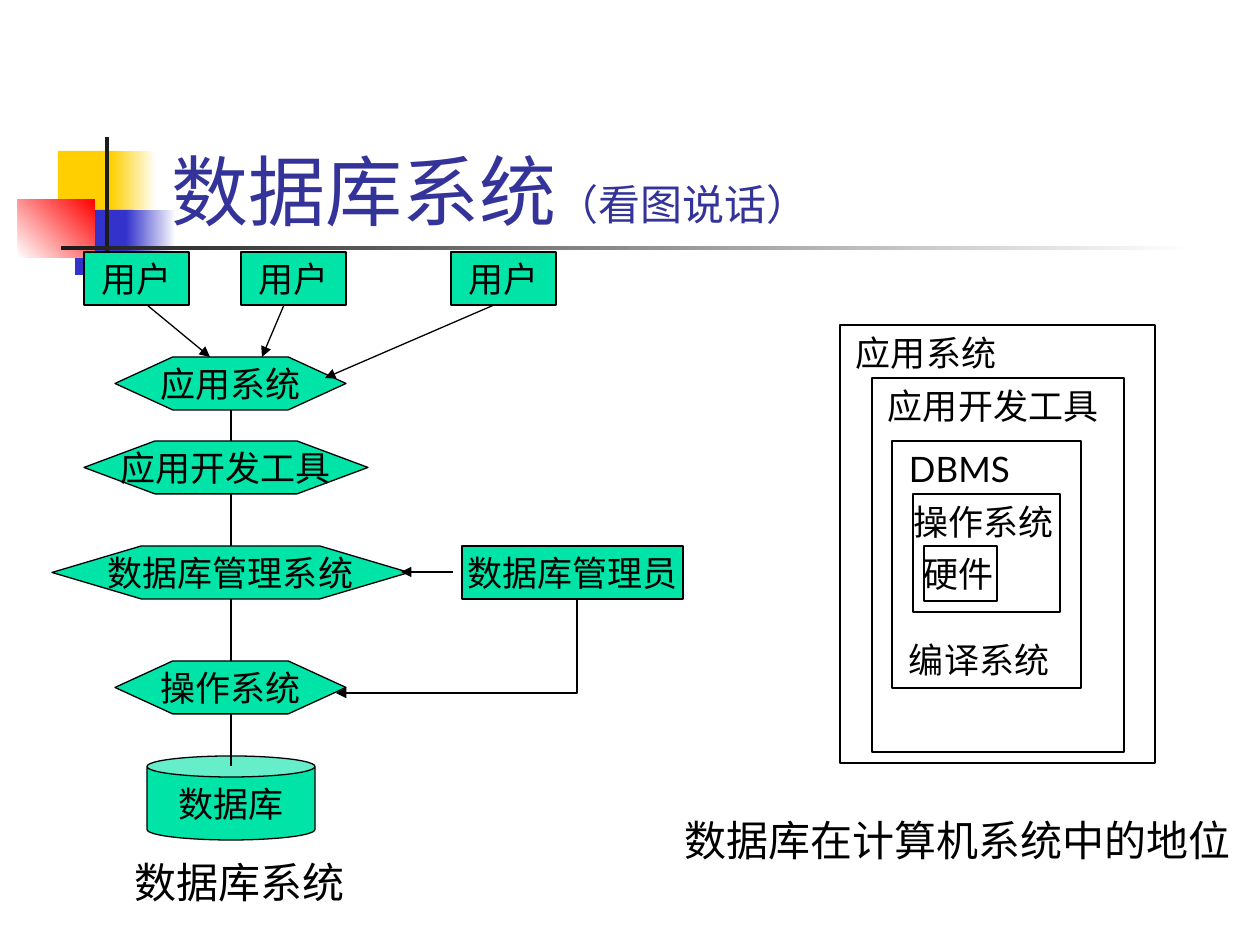
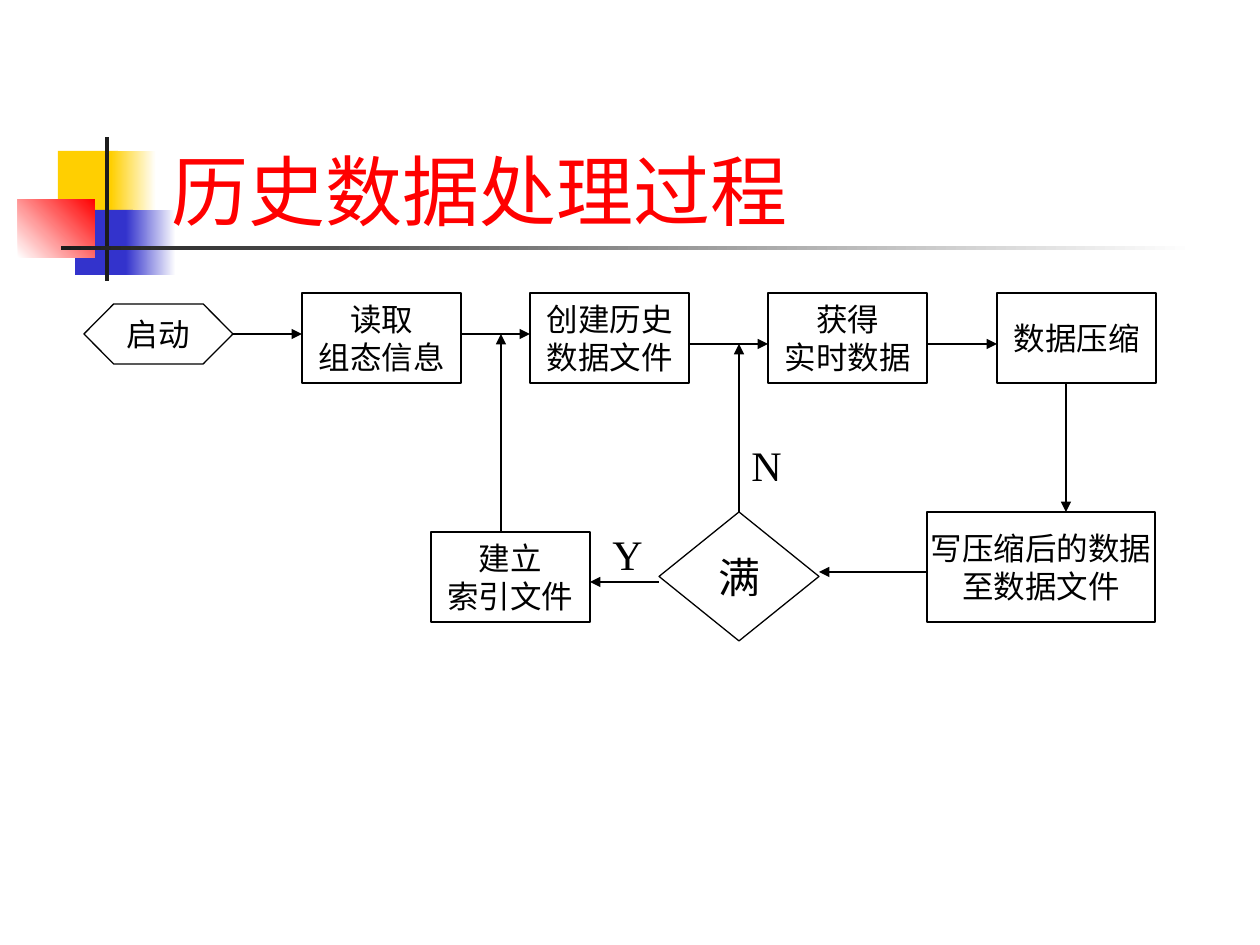
"""Build two slides: the parts of a database system and a flow for history data."""
from lxml.etree import SubElement
from pptx import Presentation
from pptx.dml.color import RGBColor
from pptx.enum.shapes import MSO_CONNECTOR, MSO_SHAPE
from pptx.enum.text import MSO_ANCHOR, PP_ALIGN
from pptx.oxml.ns import qn
from pptx.util import Pt

PX = 914400 / 126
COLORS = {
    "white": "FFFFFF", "black": "000000", "dark": "1C1C1C", "gold": "FFCF01",
    "blue": "3333CC", "red": "FF0000", "navy": "333399", "green": "00E4A8",
}
LATO, TIMES = "Lato", "Times New Roman"

DECOR = [
    ((58, 151, 60, 66), "gold", None, 0),
    ((111, 151, 45, 66), "gold", "white", 0),
    ((75, 210, 58, 65), "blue", None, 0),
    ((126, 210, 50, 65), "blue", "white", 0),
    ((18, 199, 77, 59), "white", "red", 45),
    ((105, 137, 4, 144), "dark", None, 0),
    ((61, 246, 1134, 4), "dark", "white", 0),
]
TITLE = (159, 84, 1074, 158)

AXIS, ROW = 231, 53
LAYERS = [("应用系统", 115, 357, 231), ("应用开发工具", 84, 441, 284),
          ("数据库管理系统", 52, 546, 357), ("操作系统", 115, 661, 231)]
STORE = ("数据库", (147, 756, 168, 84))
STAFF = [("用户", 84, 252, 105), ("用户", 241, 252, 105),
         ("用户", 451, 252, 105), ("数据库管理员", 462, 546, 221)]
CALLS = [(147, 305, 210, 357), (284, 305, 262, 357),
         (494, 305, 325, 378), (453, 572, 401, 572)]
ELBOW = [(577, 599), (577, 693), (336, 693)]
NEST = [
    ("硬件", (924, 546, 73, 55), 0),
    ("操作系统", (913, 494, 147, 118), 0),
    ("DBMS\n编译系统", (892, 441, 189, 247), 17),
    ("应用开发工具", (872, 378, 252, 374), 16),
    ("应用系统", (840, 325, 315, 438), 16),
]
NOTES = [("数据库系统", (122, 850, 260, 63)),
         ("数据库在计算机系统中的地位", (672, 808, 585, 63))]

STEP = (159, 90)
STEPS = [("读取\n组态信息", 302, 293), ("创建历史\n数据文件", 530, 293),
         ("获得\n实时数据", 768, 293), ("数据压缩", 997, 293),
         ("建立\n索引文件", 431, 532)]
START = ("启动", (84, 304, 149, 60))
WRITE = ("写压缩后的数据\n至数据文件", (927, 512, 228, 110))
FULL = ("满", (659, 512, 160, 129))
FLOWS = [(461, 334, 530, 334), (689, 344, 768, 344), (927, 344, 997, 344),
         (1066, 383, 1066, 512), (927, 572, 819, 572), (659, 582, 590, 582),
         (501, 532, 501, 334)]
ANSWERS = [("N", (739, 433, 49, 63)), ("Y", (600, 522, 49, 63))]


def emu(nums):
    return [round(n * PX) for n in nums]


def rgb(name):
    return RGBColor.from_string(COLORS[name])


def style(para, size, font, color="black"):
    para.font.size, para.font.name = Pt(size), font
    para.font.color.rgb = rgb(color)


def write(shape, text, size, font, align=PP_ALIGN.CENTER, anchor=MSO_ANCHOR.MIDDLE):
    frame = shape.text_frame
    frame.word_wrap, frame.vertical_anchor = False, anchor
    frame.text = text
    for para in frame.paragraphs:
        para.alignment = align
        style(para, size, font)
    return frame


def shape(slide, kind, box, fill=None, edge="black"):
    item = slide.shapes.add_shape(kind, *emu(box))
    finish(item, fill, edge)
    return item


def finish(item, fill, edge):
    item.shadow.inherit = False
    if fill:
        item.fill.solid()
        item.fill.fore_color.rgb = rgb(fill)
    else:
        item.fill.background()
    if edge:
        ink(item.line, edge)
    else:
        item.line.fill.background()


def ink(line, color="black"):
    line.color.rgb, line.width = rgb(color), Pt(0.75)


def arrow(item):
    SubElement(item.element.spPr.find(qn("a:ln")), qn("a:tailEnd"), type="triangle")


def link(slide, ends, tip=True):
    item = slide.shapes.add_connector(MSO_CONNECTOR.STRAIGHT, *emu(ends))
    ink(item.line)
    if tip:
        arrow(item)
    SubElement(item.element.spPr, qn("a:effectLst"))
    return item


def label(slide, text, box, font):
    item = slide.shapes.add_textbox(*emu(box))
    write(item, text, 24, font, PP_ALIGN.LEFT, MSO_ANCHOR.TOP).word_wrap = True


def base(deck, color, *runs):
    slide = deck.slides.add_slide(deck.slide_layouts[6])
    for box, first, last, angle in DECOR:
        item = shape(slide, MSO_SHAPE.RECTANGLE, box, first, None)
        if last:
            item.fill.gradient()
            item.fill.gradient_angle = angle
            for stop, name in zip(item.fill.gradient_stops, (first, last)):
                stop.color.rgb = rgb(name)
    frame = slide.shapes.add_textbox(*emu(TITLE)).text_frame
    frame.word_wrap, frame.vertical_anchor = True, MSO_ANCHOR.BOTTOM
    para = frame.paragraphs[0]
    style(para, 44, LATO, color)
    for text, size in runs:
        run = para.add_run()
        run.text, run.font.size = text, Pt(size)
    return slide


def system(deck):
    slide = base(deck, "navy", ("数据库系统", 44), ("（看图说话）", 24))
    for text, left, top, wide in LAYERS:
        item = shape(slide, MSO_SHAPE.HEXAGON, (left, top, wide, ROW), "green")
        item.adjustments[0] = wide / 4 / ROW
        write(item, text, 20, LATO)
    text, box = STORE
    write(shape(slide, MSO_SHAPE.CAN, box, "green"), text, 20, LATO)
    for text, left, top, wide in STAFF:
        item = shape(slide, MSO_SHAPE.RECTANGLE, (left, top, wide, ROW), "green")
        write(item, text, 20, LATO)
    for ends in CALLS:
        link(slide, ends)
    tops = [top for _, _, top, _ in LAYERS]
    for top, end in zip(tops, tops[1:] + [766]):
        link(slide, (AXIS, top + ROW, AXIS, end), False)
    pen = slide.shapes.build_freeform(*ELBOW[0], scale=PX)
    pen.add_line_segments(ELBOW[1:], close=False)
    elbow = pen.convert_to_shape()
    finish(elbow, None, "black")
    arrow(elbow)
    for text, box, inset in NEST:
        item = shape(slide, MSO_SHAPE.RECTANGLE, box)
        frame = write(item, text, 20, LATO, PP_ALIGN.LEFT, MSO_ANCHOR.TOP)
        frame.word_wrap = True
        frame.margin_left, frame.margin_right = round(inset * PX), 0
        for para in frame.paragraphs[1:]:
            para.space_before = Pt(85)
    for text, box in NOTES:
        label(slide, text, box, LATO)


def history(deck):
    slide = base(deck, "red", ("历史数据处理过程", 44))
    boxes = [(text, (left, top, *STEP)) for text, left, top in STEPS] + [WRITE]
    for text, box in boxes:
        item = shape(slide, MSO_SHAPE.FLOWCHART_PROCESS, box, "white")
        write(item, text, 18, TIMES)
    text, box = START
    start = shape(slide, MSO_SHAPE.FLOWCHART_PREPARATION, box, "white")
    write(start, text, 18, TIMES)
    text, box = FULL
    full = shape(slide, MSO_SHAPE.FLOWCHART_DECISION, box, "white")
    write(full, text, 24, TIMES)
    for ends in FLOWS:
        link(slide, ends)
    link(slide, (233, 334, 302, 334)).begin_connect(start, 3)
    link(slide, (739, 512, 739, 344)).begin_connect(full, 0)
    for text, box in ANSWERS:
        label(slide, text, box, TIMES)


def main():
    deck = Presentation()
    deck.slide_width, deck.slide_height = emu((1260, 945))
    system(deck)
    history(deck)
    deck.save("out.pptx")


if __name__ == "__main__":
    main()
